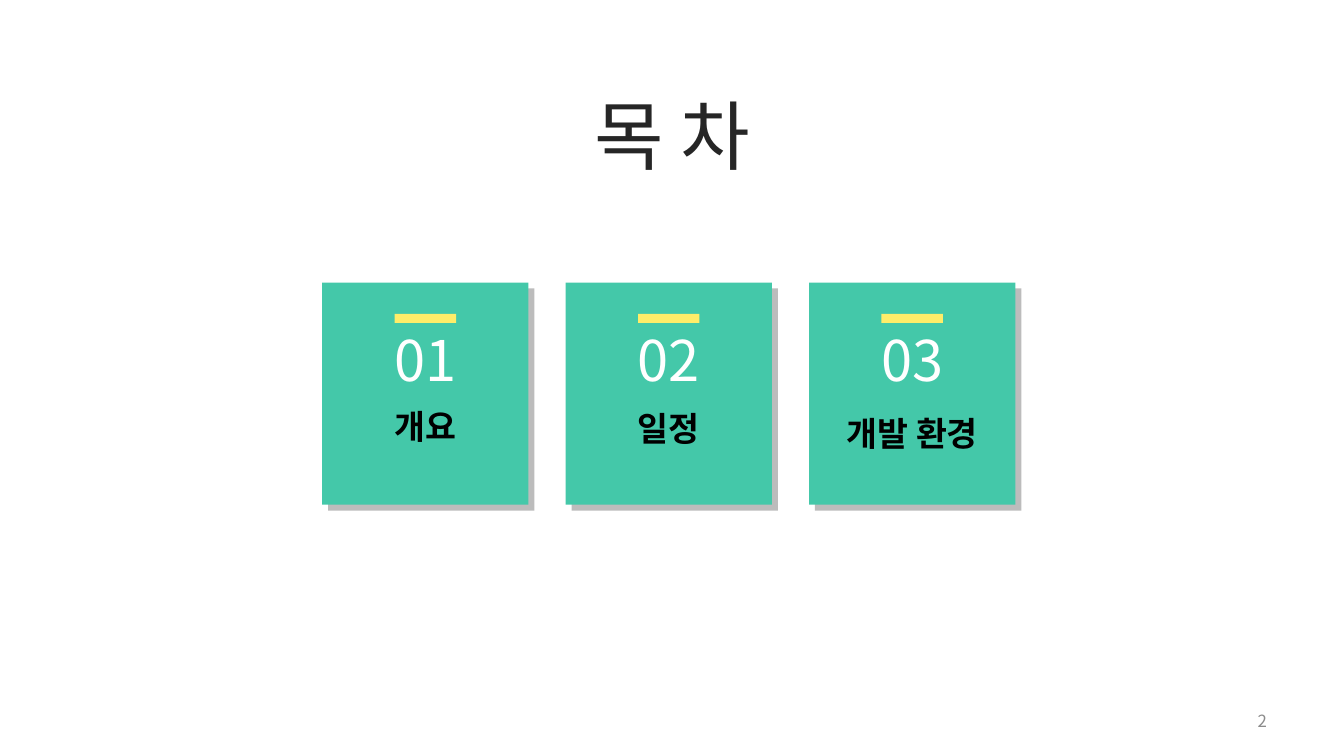
from lxml import etree
from pptx import Presentation
from pptx import util as u
from pptx.dml.color import RGBColor
from pptx.enum import shapes, text
from pptx.oxml import ns

FONT = "Noto Sans CJK KR"
COLORS = {
    "title": "262626", "card": "44C8A9", "accent": "FFED69", "shadow": "595959",
    "number": "FFFFFF", "label": "000000", "page": "8C8C8C",
}
CENTER, RIGHT = text.PP_ALIGN.CENTER, text.PP_ALIGN.RIGHT
FORMATS = {
    "title": {"size": u.Pt(54), "bold": False},
    "number": {"size": u.Pt(40), "bold": False},
    "label": {"size": u.Pt(24), "bold": True},
    "page": {"size": u.Pt(12), "bold": False},
}
# Number, label and the space between them in points
TOPICS = [("01", "개요", 12), ("02", "일정", 14), ("03", "개발 환경", 17)]


def set_values(target, values):
    """Set every attribute in the dict on the target."""
    for name, value in values.items():
        setattr(target, name, value)


def write(paragraph, words, style, **layout):
    """Write one run in a named style and lay out its paragraph."""
    set_values(paragraph, {"alignment": CENTER, "line_spacing": 0.9, **layout})
    run = paragraph.add_run()
    run.text = words
    set_values(run.font, {"name": FONT, **FORMATS[style]})
    run.font.color.rgb = RGBColor.from_string(COLORS[style])
    east_asian = etree.SubElement(run.font._element, ns.qn("a:ea"))
    east_asian.set("typeface", FONT)


def add_text_box(slide, left, top, width, height, anchor):
    """Add a wrapping text box and return its text frame."""
    frame = slide.shapes.add_textbox(left, top, width, height).text_frame
    set_values(frame, {"word_wrap": True, "vertical_anchor": anchor})
    return frame


def add_block(slide, left, top, width, height, color):
    """Add a plain filled rectangle without outline or shadow."""
    shape = slide.shapes.add_shape(
        shapes.MSO_SHAPE.RECTANGLE, left, top, width, height)
    shape.shadow.inherit = False
    shape.fill.solid()
    shape.fill.fore_color.rgb = RGBColor.from_string(COLORS[color])
    shape.line.fill.background()
    return shape


def add_hard_shadow(shape):
    """Give the shape a sharp shadow to the lower right."""
    effects = shape._element.spPr.find(ns.qn("a:effectLst"))
    shadow = etree.SubElement(
        effects, ns.qn("a:outerShdw"), blurRad="0", dist=str(u.Pt(6)),
        dir=str(45 * 60000), algn="tl", rotWithShape="0")
    color = etree.SubElement(shadow, ns.qn("a:srgbClr"), val=COLORS["shadow"])
    etree.SubElement(color, ns.qn("a:alpha"), val="40000")


def add_title(slide, left, top, width, height):
    """Move and fill the title placeholder."""
    title = slide.shapes.title
    set_values(title, {"left": left, "top": top, "width": width, "height": height})
    set_values(title.text_frame, {
        "vertical_anchor": text.MSO_ANCHOR.MIDDLE,
        "auto_size": text.MSO_AUTO_SIZE.NONE})
    write(title.text_frame.paragraphs[0], "목 차", "title")


def add_card(slide, left, top, width, height, topic):
    """Draw a topic card with accent bar, number and label."""
    number, label, gap = topic
    add_hard_shadow(add_block(slide, left, top, width, height, "card"))
    bar_width = u.Cm(1.55)
    add_block(slide, left + (width - bar_width) // 2, top + u.Cm(0.79),
              bar_width, u.Cm(0.23), "accent")
    inset = u.Cm(1.14)
    frame = add_text_box(slide, left, top + inset, width, height - inset,
                         text.MSO_ANCHOR.TOP)
    write(frame.paragraphs[0], number, "number")
    write(frame.add_paragraph(), label, "label", space_before=u.Pt(gap))


def add_cards(slide, left, top, width, height):
    """Spread the topic cards evenly over the box."""
    card_width = u.Cm(5.2)
    step = (width - card_width) // (len(TOPICS) - 1)
    for index, topic in enumerate(TOPICS):
        add_card(slide, left + index * step, top, card_width, height, topic)


def add_page_number(slide, left, top, width, height):
    """Write the page number at the right of the box."""
    frame = add_text_box(slide, left, top, width, height, text.MSO_ANCHOR.MIDDLE)
    write(frame.paragraphs[0], "2", "page", alignment=RIGHT, line_spacing=1.0)


def main():
    """Build the contents slide and save it."""
    presentation = Presentation()
    set_values(presentation, {"slide_width": u.Cm(33.87), "slide_height": u.Cm(19.05)})
    slide = presentation.slides.add_slide(presentation.slide_layouts[5])
    add_title(slide, u.Cm(1.7), u.Cm(1.93), u.Cm(30.48), u.Cm(3.18))
    add_cards(slide, u.Cm(8.12), u.Cm(7.12), u.Cm(17.47), u.Cm(5.6))
    add_page_number(slide, u.Cm(24.28), u.Cm(17.66), u.Cm(7.9), u.Cm(1.01))
    presentation.save("out.pptx")


main()
